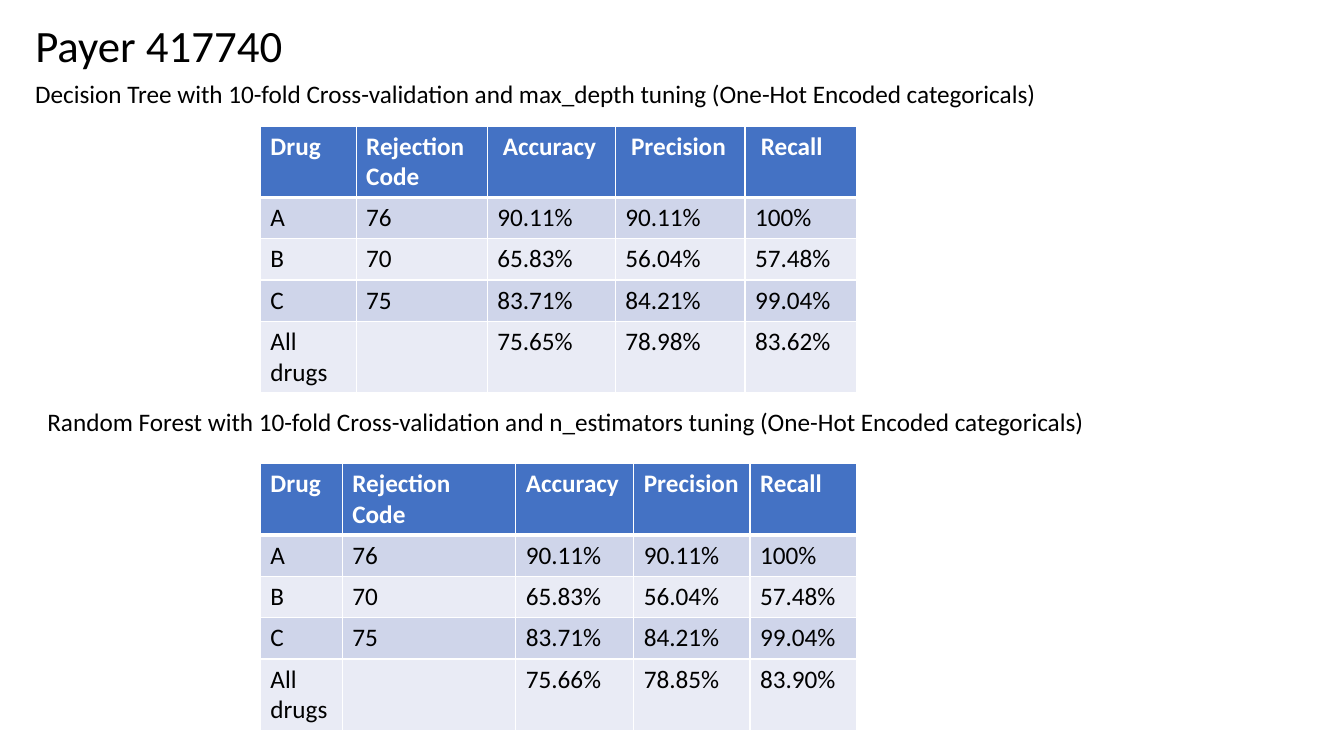
"""Build the slide that compares two classifiers for one payer."""
from dataclasses import dataclass

from lxml import etree
from pptx import Presentation, util as u
from pptx.dml.color import RGBColor
from pptx.enum import text
from pptx.oxml import ns


@dataclass(frozen=True)
class Theme:
    """Colours, type sizes and line widths."""
    font: str = "Calibri"
    ink: str = "000000"
    white: str = "FFFFFF"
    head: str = "4472C4"
    bands: tuple[str, str] = ("CFD5EA", "E9EBF5")
    title: int = 32
    body: int = 18
    thin: int = 1
    thick: int = 3


@dataclass(frozen=True)
class Box:
    """A place on the slide grid, in columns and rows."""
    x: float
    y: float
    w: float
    h: float


@dataclass(frozen=True)
class Model:
    """A caption and the table of scores below it."""
    label: str
    place: Box
    wrap: bool
    top: float
    cols: tuple[float, ...]
    heads: tuple[str, ...]
    total: tuple[str, ...]


THEME = Theme()
COLS, ROWS = 160, 90
WIDE, HIGH = u.Inches(13.33), u.Inches(7.5)
LEFT, TALL, LOW = 31, 8.5, 4.92
DRUGS = (
    ("A", "76", "90.11%", "90.11%", "100%"),
    ("B", "70", "65.83%", "56.04%", "57.48%"),
    ("C", "75", "83.71%", "84.21%", "99.04%"),
)
MODELS = (
    Model("Decision Tree with 10-fold Cross-validation and max_depth tuning "
          "(One-Hot Encoded categoricals)",
          Box(3, 8.75, 134.4, 4.8), True, 15,
          (11.4, 15.6, 15.25, 15.45, 13.3),
          ("Drug", "Rejection Code", " Accuracy", " Precision", " Recall"),
          ("All drugs", "", "75.65%", "78.98%", "83.62%")),
    Model("Random Forest with 10-fold Cross-validation and n_estimators tuning "
          "(One-Hot Encoded categoricals)",
          Box(4.45, 47.75, 127.2, 4.8), False, 55.2,
          (9.75, 20.65, 14.05, 13.85, 12.7),
          ("Drug", "Rejection Code", "Accuracy", "Precision", "Recall"),
          ("All drugs", "", "75.66%", "78.85%", "83.90%")),
)


def across(n: float) -> int:
    """Turn grid columns into a length."""
    return u.Emu(round(WIDE * n / COLS))


def down(n: float) -> int:
    """Turn grid rows into a length."""
    return u.Emu(round(HIGH * n / ROWS))


def frame(box: Box) -> tuple[int, int, int, int]:
    """Give the left, top, width and height of a box."""
    return across(box.x), down(box.y), across(box.w), down(box.h)


def write(body, words: str, size: int, ink: str, bold: bool = False) -> None:
    """Add one left-aligned run to a text frame."""
    para = body.paragraphs[0]
    para.alignment = text.PP_ALIGN.LEFT
    run = para.add_run()
    run.text = words
    run.font.name = THEME.font
    run.font.size = u.Pt(size)
    run.font.bold = bold
    run.font.color.rgb = RGBColor.from_string(ink)


def edge(cell, base: int) -> None:
    """Draw white borders around a cell."""
    props = cell._tc.get_or_add_tcPr()
    sides = {"L": THEME.thin, "R": THEME.thin, "T": THEME.thin, "B": base}
    for spot, (side, size) in enumerate(sides.items()):
        line = etree.Element(ns.qn(f"a:ln{side}"), w=str(u.Pt(size)))
        fill = etree.SubElement(line, ns.qn("a:solidFill"))
        etree.SubElement(fill, ns.qn("a:srgbClr"), val=THEME.white)
        props.insert(spot, line)


def title(slide, words: str, box: Box) -> None:
    """Place and fill the title."""
    shape = slide.shapes.title
    shape.left, shape.top, shape.width, shape.height = frame(box)
    body = shape.text_frame
    body.vertical_anchor = text.MSO_ANCHOR.TOP
    body.word_wrap = True
    body.auto_size = text.MSO_AUTO_SIZE.NONE
    write(body, words, THEME.title, THEME.ink)


def label(slide, model: Model) -> None:
    """Add the caption of a model."""
    body = slide.shapes.add_textbox(*frame(model.place)).text_frame
    body.word_wrap = model.wrap
    body.auto_size = text.MSO_AUTO_SIZE.SHAPE_TO_FIT_TEXT
    write(body, model.label, THEME.body, THEME.ink)


def scores(slide, model: Model) -> None:
    """Add the table of a model."""
    data = (model.heads, *DRUGS, model.total)
    highs = (TALL, *[LOW] * len(DRUGS), TALL)
    box = Box(LEFT, model.top, sum(model.cols), sum(highs))
    table = slide.shapes.add_table(len(data), len(model.cols), *frame(box)).table
    for col, wide in zip(table.columns, model.cols):
        col.width = across(wide)
    for i, (row, high) in enumerate(zip(data, highs)):
        table.rows[i].height = down(high)
        top = i == 0
        fill = THEME.head if top else THEME.bands[(i - 1) % 2]
        for j, words in enumerate(row):
            cell = table.cell(i, j)
            cell.fill.solid()
            cell.fill.fore_color.rgb = RGBColor.from_string(fill)
            edge(cell, THEME.thick if top else THEME.thin)
            if words:
                ink = THEME.white if top else THEME.ink
                write(cell.text_frame, words, THEME.body, ink, top)


def main() -> None:
    """Build and save the deck."""
    deck = Presentation()
    deck.slide_width, deck.slide_height = WIDE, HIGH
    slide = deck.slides.add_slide(deck.slide_layouts[5])
    title(slide, "Payer 417740", Box(3, 1.55, 32.65, 7.7))
    for model in MODELS:
        label(slide, model)
        scores(slide, model)
    deck.save("out.pptx")


main()
